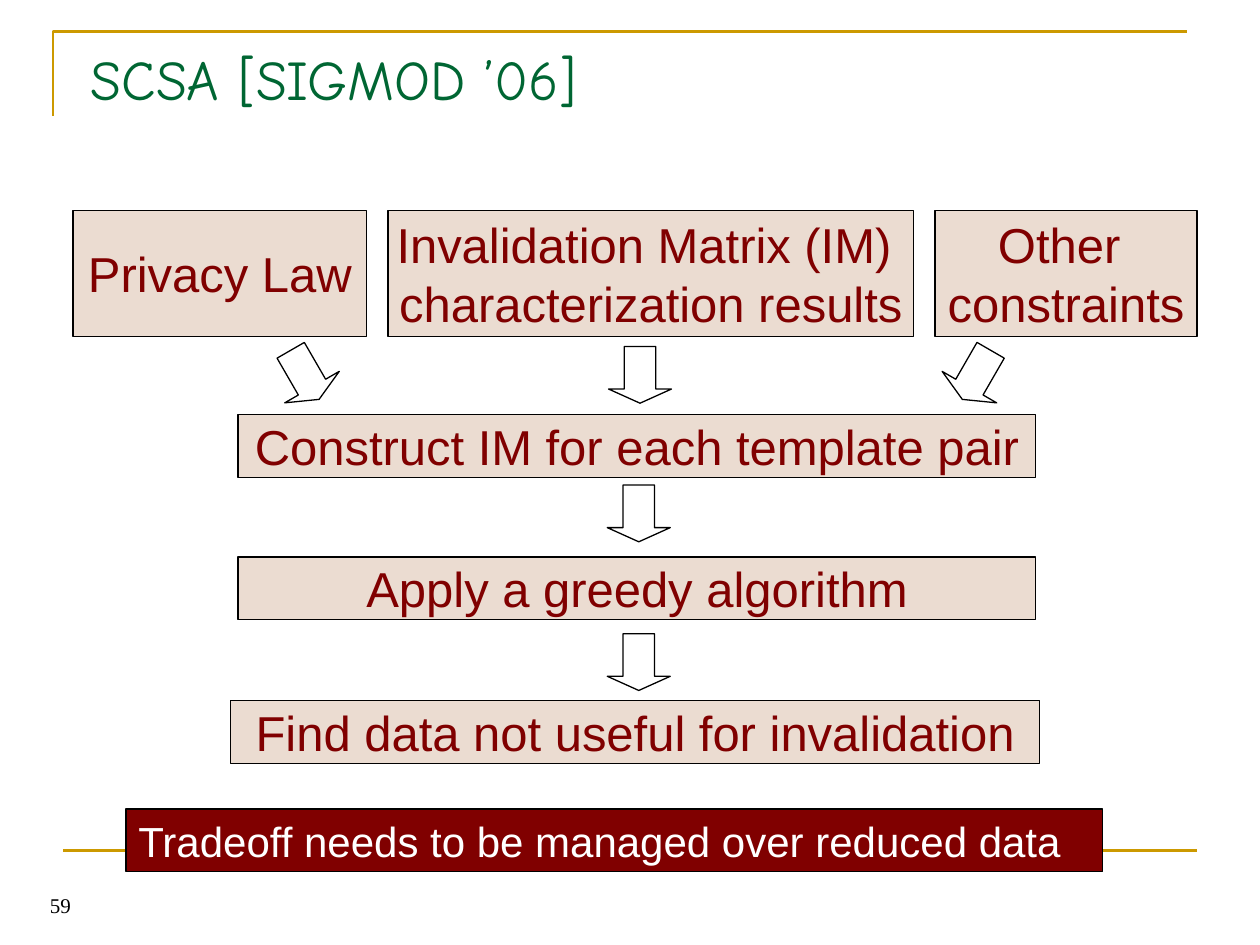
from lxml.etree import SubElement
from pptx import Presentation
from pptx.dml.color import RGBColor
from pptx.enum.shapes import MSO_CONNECTOR, MSO_SHAPE
from pptx.enum.text import MSO_ANCHOR, PP_ALIGN
from pptx.oxml.ns import qn
from pptx.util import Inches, Pt

GOLD = RGBColor(0xCC, 0x99, 0x00)
GREEN = RGBColor(0x00, 0x66, 0x33)
MAROON = RGBColor(0x80, 0x00, 0x00)
BEIGE = RGBColor(0xEB, 0xDC, 0xD1)
BLACK = RGBColor(0, 0, 0)
WHITE = RGBColor(0xFF, 0xFF, 0xFF)

TITLE = "SCSA [SIGMOD ’06]"
PAGE = "59"
CONCLUSION = "Tradeoff needs to be managed over reduced data"

# left, width, lines
INPUTS = [
    (0.58, 2.33, ["Privacy Law"]),
    (3.08, 4.17, ["Invalidation Matrix (IM) ", "characterization results"]),
    (7.42, 2.08, ["Other ", "constraints"]),
]
# left, top, width, text
STEPS = [
    (1.89, 3.29, 6.33, "Construct IM for each template pair"),
    (1.89, 4.42, 6.33, "Apply a greedy algorithm"),
    (1.83, 5.56, 6.42, "Find data not useful for invalidation"),
]
# left, top, rotation
ARROWS = [
    (2.17, 2.75, 330), (4.83, 2.75, 0), (7.5, 2.75, 30),
    (4.82, 3.85, 0), (4.82, 5.03, 0),
]
INPUT_TOP, INPUT_HEIGHT, STEP_HEIGHT = 1.67, 1, 0.5
ARROW_SIZE = 0.5, 0.45


def write(tf, lines, size, font, color, align):
    for i, line in enumerate(lines):
        p = tf.add_paragraph() if i else tf.paragraphs[0]
        p.alignment = align
        r = p.add_run()
        r.text = line
        r.font.size = Pt(size)
        r.font.name = font
        r.font.color.rgb = color


def add_outlined(s, kind, left, top, width, height, fill):
    sp = s.shapes.add_shape(kind, *map(Inches, (left, top, width, height)))
    sp.shadow.inherit = False
    sp.fill.solid()
    sp.fill.fore_color.rgb = fill
    sp.line.color.rgb = BLACK
    sp.line.width = Pt(0.75)
    return sp


def add_box(s, left, top, width, height, lines, fill=BEIGE, color=MAROON,
            size=28, align=PP_ALIGN.CENTER, wrap=False):
    sp = add_outlined(s, MSO_SHAPE.RECTANGLE, left, top, width, height, fill)
    tf = sp.text_frame
    tf.word_wrap = wrap
    tf.vertical_anchor = MSO_ANCHOR.MIDDLE
    write(tf, lines, size, "Arial", color, align)


def add_frame_lines(s):
    """Gold corner around the title and gold rule above the page number."""
    builder = s.shapes.build_freeform(Inches(0.42), Inches(0.92))
    builder.add_line_segments(
        [(Inches(0.42), Inches(0.25)), (Inches(9.42), Inches(0.25))], close=False)
    corner = builder.convert_to_shape()
    corner.shadow.inherit = False
    corner.fill.background()
    rule = s.shapes.add_connector(
        MSO_CONNECTOR.STRAIGHT, Inches(0.5), Inches(6.75), Inches(9.5), Inches(6.75))
    for sp in (corner, rule):
        sp.line.color.rgb = GOLD
        sp.line.width = Pt(1.5)
    SubElement(rule.element.spPr, qn("a:effectLst"))


def main():
    prs = Presentation()
    prs.slide_width, prs.slide_height = Inches(10), Inches(7.5)
    s = prs.slides.add_slide(prs.slide_layouts[5])
    add_frame_lines(s)

    title = s.shapes.title
    title.left, title.top = Inches(0.5), Inches(0.3)
    title.width, title.height = Inches(9), Inches(1.25)
    title.text_frame.vertical_anchor = MSO_ANCHOR.TOP
    title.text_frame.margin_left = Inches(0.22)
    write(title.text_frame, [TITLE], 32, "Comic Neue", GREEN, PP_ALIGN.LEFT)

    page = s.shapes.add_textbox(Inches(-1.67), Inches(6.83), Inches(2.33), Inches(0.5))
    page.text_frame.word_wrap = True
    page.text_frame.vertical_anchor = MSO_ANCHOR.BOTTOM
    write(page.text_frame, [PAGE], 12, "Times New Roman", BLACK, PP_ALIGN.RIGHT)

    for left, width, lines in INPUTS:
        add_box(s, left, INPUT_TOP, width, INPUT_HEIGHT, lines)
    for left, top, width, text in STEPS:
        add_box(s, left, top, width, STEP_HEIGHT, [text])
    for left, top, rotation in ARROWS:
        arrow = add_outlined(s, MSO_SHAPE.DOWN_ARROW, left, top, *ARROW_SIZE, WHITE)
        arrow.adjustments[0] = 0.5
        arrow.adjustments[1] = 0.25
        arrow.rotation = rotation
    add_box(s, 1, 6.42, 7.75, STEP_HEIGHT, [CONCLUSION], MAROON, WHITE, 24,
            PP_ALIGN.LEFT, wrap=True)

    prs.save("out.pptx")


if __name__ == "__main__":
    main()
